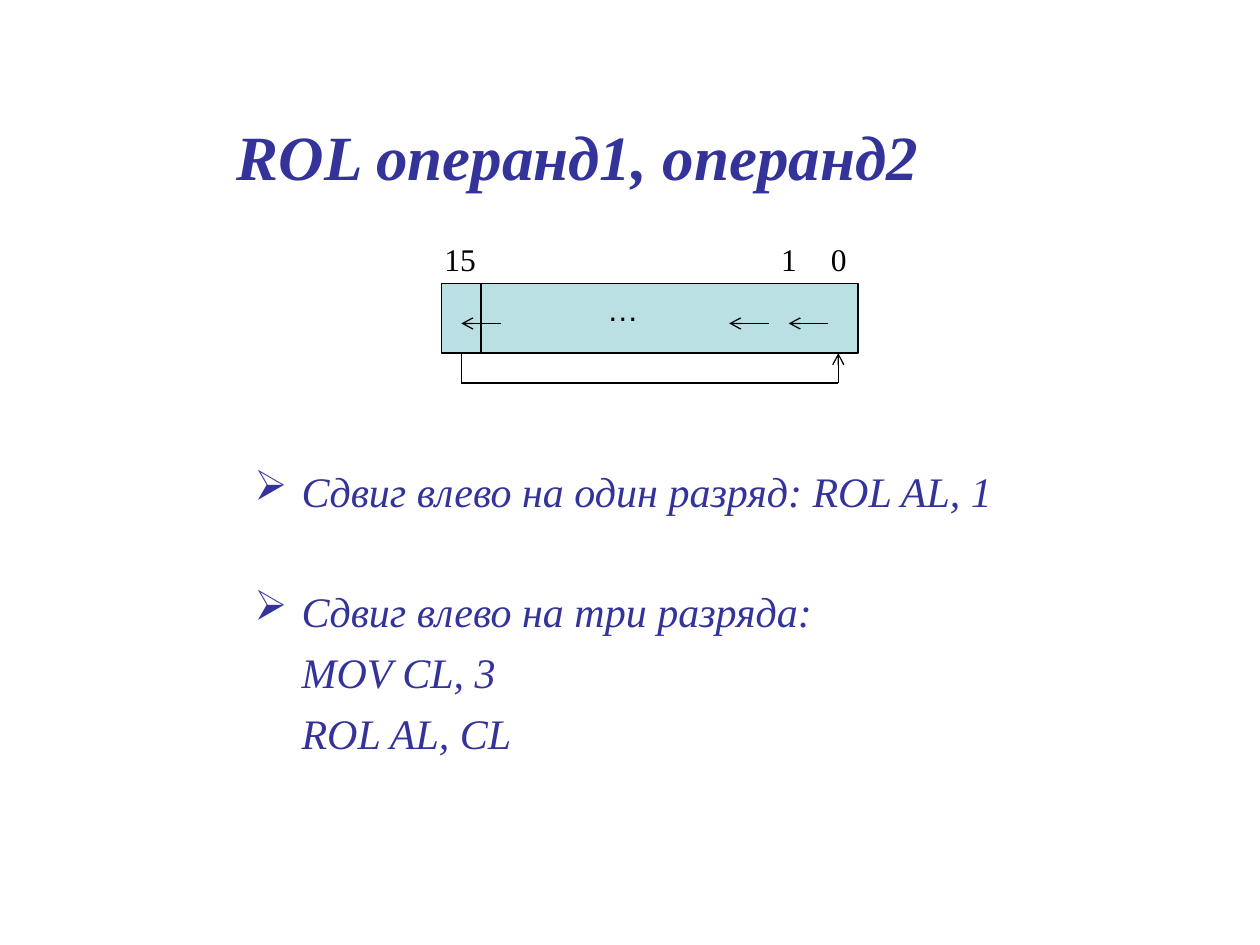
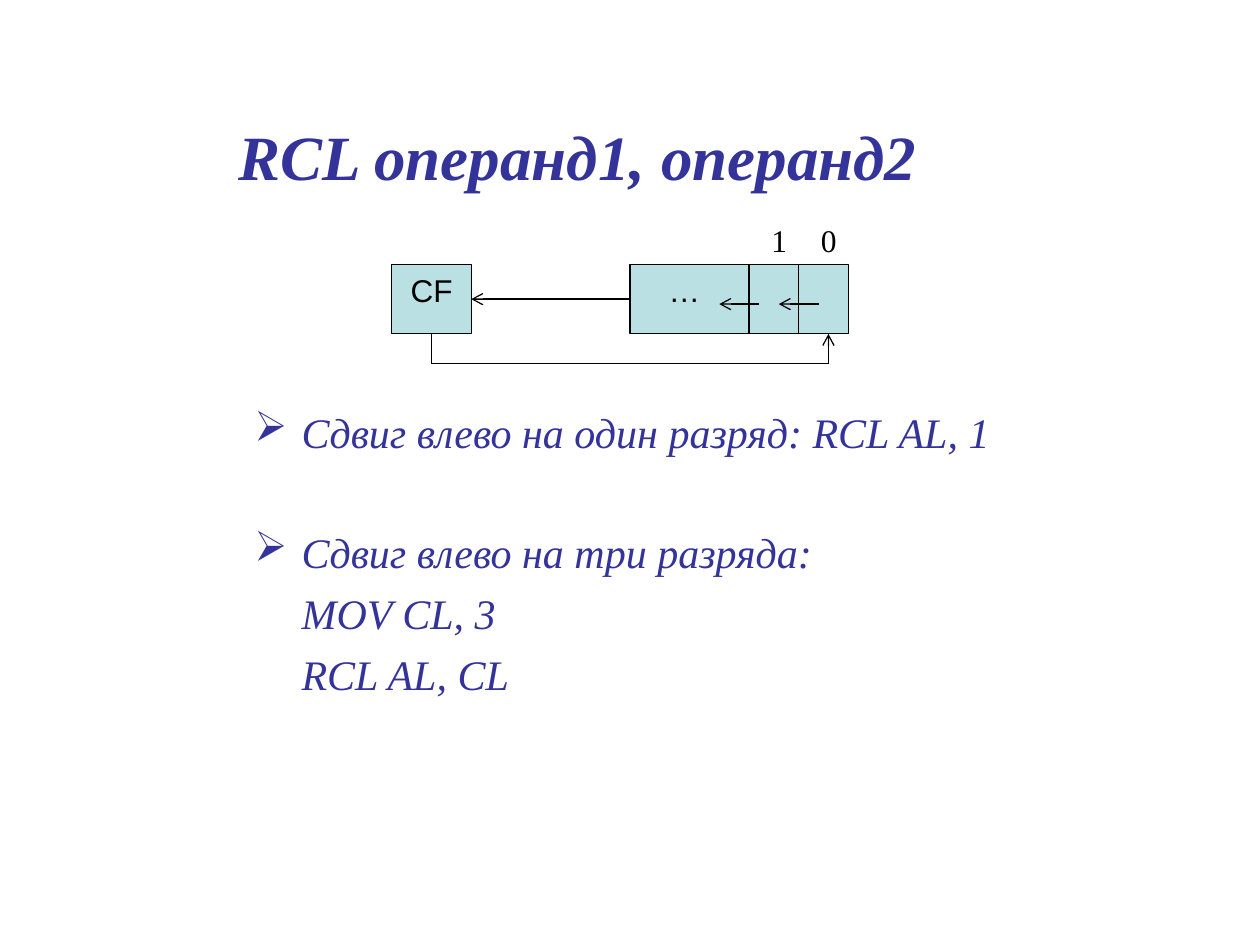
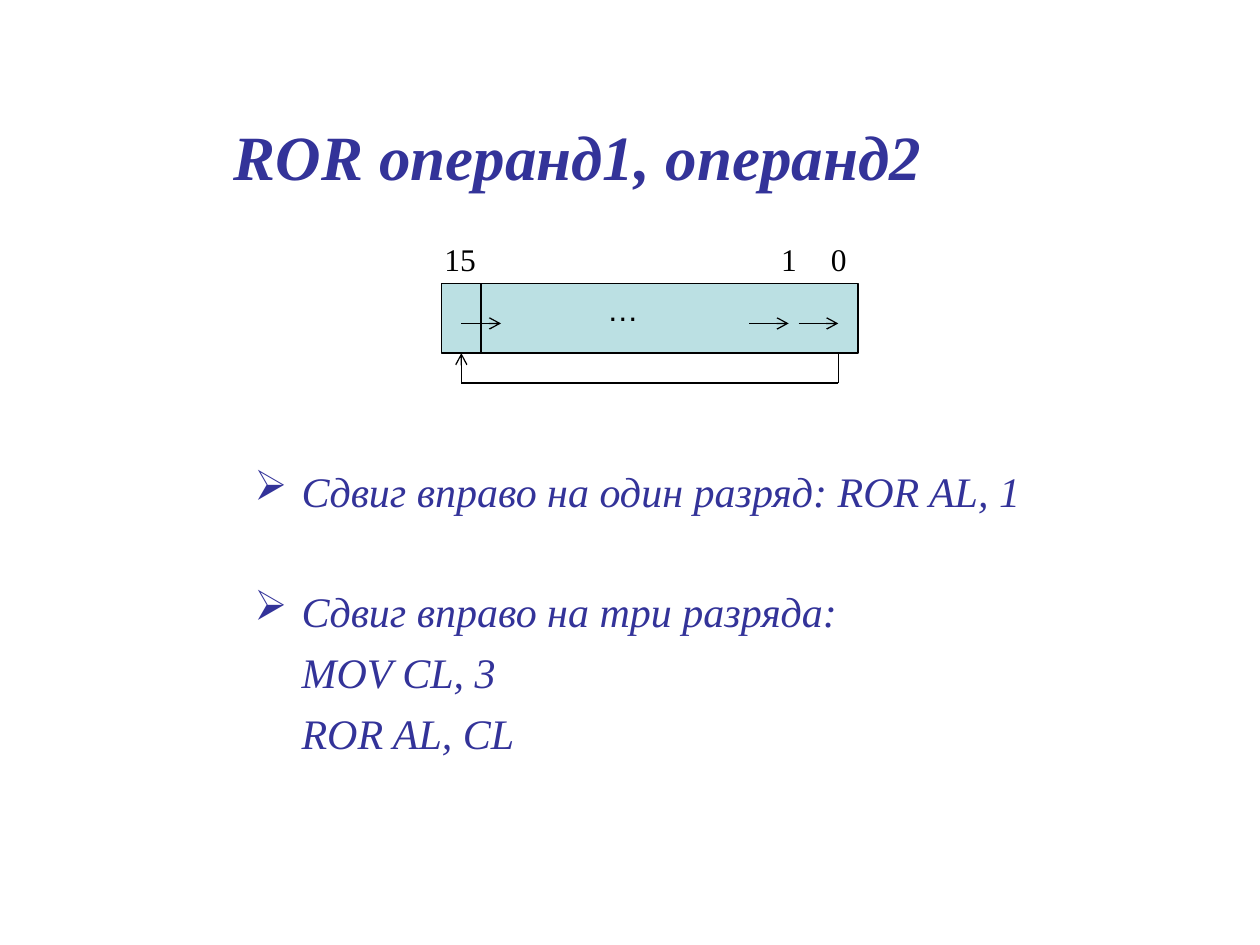
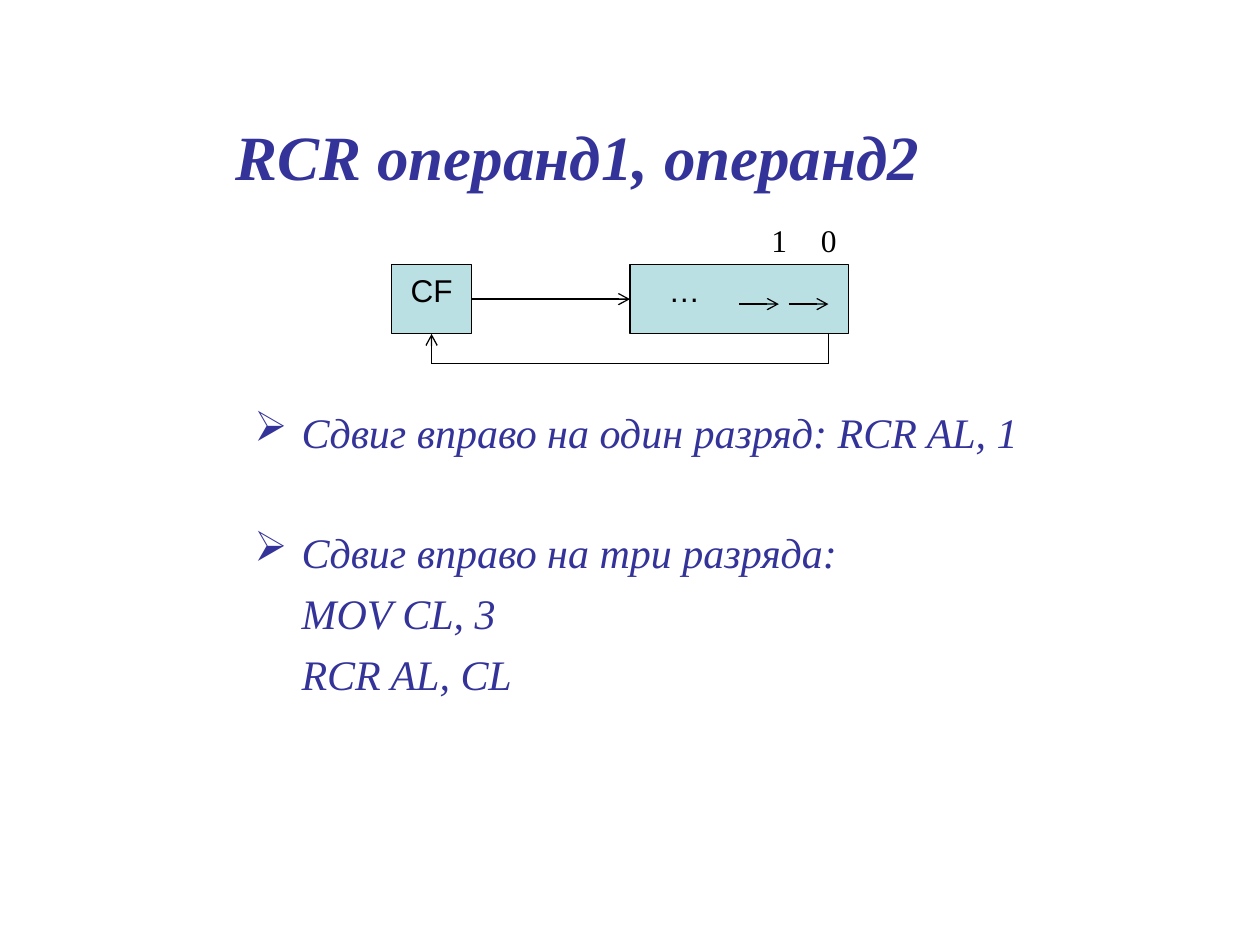
"""Build four slides about the rotate instructions ROL, RCL, ROR and RCR."""
import pptx
import pptx.dml.color
import pptx.enum.shapes
import pptx.enum.text
import pptx.oxml
import pptx.oxml.ns
import pptx.util
from lxml import etree

Cm = pptx.util.Cm
Pt = pptx.util.Pt
ALIGN = pptx.enum.text.PP_ALIGN
ANCHOR = pptx.enum.text.MSO_ANCHOR

COLORS = {"heading": "333399", "cell": "BBE0E3", "ink": "000000"}
FONTS = {
    "title": {"name": "Times New Roman", "size": Pt(36), "bold": True, "italic": True},
    "body": {"name": "Times New Roman", "size": Pt(24), "italic": True},
    "label": {"name": "Times New Roman", "size": Pt(18)},
    "cell": {"name": "Arial", "size": Pt(18)},
}
FONT_COLORS = {"title": "heading", "body": "heading", "label": "ink", "cell": "ink"}

SLIDES = [
    {"command": "ROL", "side": "влево", "left": True, "carry": False},
    {"command": "RCL", "side": "влево", "left": True, "carry": True, "dividers": True},
    {"command": "ROR", "side": "вправо", "left": False, "carry": False},
    {"command": "RCR", "side": "вправо", "left": False, "carry": True},
]
DIAGRAMS = {
    False: {"top": 5.72, "box": (8.9, 0.8, ""), "register": (9.7, 7.6),
            "dots_indent": 2.29, "text_inset": 4.94},
    True: {"top": 5.33, "box": (7.9, 1.6, "CF"), "register": (12.7, 4.4),
           "dots_indent": 0.53, "text_inset": 3.75},
}
TITLE_BOX = (2.97, 2.34, 17.35, 1.6)
BODY_BOX = (4.88, 4.45, 16.08, 12.57)
CELL_HEIGHT = 1.4
LOOP_DEPTH = 2
ARROW_DEPTH = 0.8
ARROW_LENGTH = 0.8
INDENT = 0.95


def apply(target, values):
    for name, value in values.items():
        setattr(target, name, value)


def color(name):
    return pptx.dml.color.RGBColor.from_string(COLORS[name])


def write(paragraph, text, style):
    run = paragraph.add_run()
    run.text = text
    apply(run.font, FONTS[style])
    run.font.color.rgb = color(FONT_COLORS[style])


def add_text(slide, box, text, style, frame_values, paragraph_values):
    frame = slide.shapes.add_textbox(*map(Cm, box)).text_frame
    apply(frame, frame_values)
    apply(frame.paragraphs[0], paragraph_values)
    write(frame.paragraphs[0], text, style)


def set_indent(paragraph, left, first=0.0, bullet=None):
    properties = paragraph._p.get_or_add_pPr()
    properties.set("marL", str(Cm(left)))
    properties.set("indent", str(Cm(first)))
    if bullet:
        etree.SubElement(properties, pptx.oxml.ns.qn("a:buChar")).set("char", bullet)


def add_body(slide, command, side, inset):
    lines = [
        (f"Сдвиг {side} на один разряд: {command} AL, 1", "➢", 0),
        (f"Сдвиг {side} на три разряда:", "➢", 39.8),
        ("MOV CL, 3", None, 6),
        (f"{command} AL, CL", None, 6),
    ]
    frame = slide.shapes.add_textbox(*map(Cm, BODY_BOX)).text_frame
    apply(frame, {"word_wrap": True, "margin_top": Cm(inset)})
    for index, (text, bullet, gap) in enumerate(lines):
        paragraph = frame.add_paragraph() if index else frame.paragraphs[0]
        paragraph.space_before = Pt(gap)
        set_indent(paragraph, INDENT, -INDENT if bullet else 0, bullet)
        write(paragraph, text, "body")


def add_cell(slide, left, top, width, text="", align=ALIGN.CENTER, indent=0):
    shape = slide.shapes.add_shape(
        pptx.enum.shapes.MSO_SHAPE.RECTANGLE, *map(Cm, (left, top, width, CELL_HEIGHT)))
    shape.shadow.inherit = False
    shape.fill.solid()
    shape.fill.fore_color.rgb = color("cell")
    shape.line.color.rgb = color("ink")
    shape.line.width = Pt(0.75)
    shape.text_frame.vertical_anchor = ANCHOR.TOP
    if text:
        paragraph = shape.text_frame.paragraphs[0]
        paragraph.alignment = align
        set_indent(paragraph, indent)
        write(paragraph, text, "cell")


def add_line(slide, start, end, arrow=False):
    connector = slide.shapes.add_connector(
        pptx.enum.shapes.MSO_CONNECTOR.STRAIGHT, *map(Cm, (*start, *end)))
    connector.line.color.rgb = color("ink")
    connector.line.width = Pt(0.75)
    if arrow:
        line = connector.line._get_or_add_ln()
        etree.SubElement(line, pptx.oxml.ns.qn("a:tailEnd")).set("type", "arrow")
    etree.SubElement(connector._element.spPr, pptx.oxml.ns.qn("a:effectLst"))


def add_arrow(slide, left_x, right_x, y, to_left):
    ends = [(left_x, y), (right_x, y)]
    add_line(slide, *(reversed(ends) if to_left else ends), arrow=True)


def add_diagram(slide, to_left, carry, dividers):
    diagram = DIAGRAMS[carry]
    top = diagram["top"]
    box_left, box_width, box_text = diagram["box"]
    register_left, register_width = diagram["register"]
    right = register_left + register_width
    bottom = top + CELL_HEIGHT

    add_cell(slide, box_left, top, box_width, box_text)
    add_cell(slide, register_left, top, register_width, "…", ALIGN.LEFT,
             diagram["dots_indent"])
    if dividers:
        for x in (right - 2, right - 1):
            add_line(slide, (x, top), (x, bottom))

    labels = [("1", right - 1.8, 0.84), ("0", right - 0.8, 0.84)]
    if not carry:
        labels.append(("15", box_left - 0.19, 1.14))
    for text, left, width in labels:
        add_text(slide, (left, top - 1, width, 1.02), text, "label",
                 {"word_wrap": False}, {})

    for offset in (2.6, 1.4) if to_left else (2.2, 1.2):
        start = right - offset
        add_arrow(slide, start, start + ARROW_LENGTH, top + ARROW_DEPTH, to_left)

    box_middle = box_left + box_width / 2
    if carry:
        add_arrow(slide, box_left + box_width, register_left, top + CELL_HEIGHT / 2, to_left)
    else:
        add_arrow(slide, box_middle, box_middle + ARROW_LENGTH, top + ARROW_DEPTH, to_left)

    source, target = box_middle, right - 0.4
    if not to_left:
        source, target = target, source
    loop_y = top + LOOP_DEPTH
    add_line(slide, (source, bottom), (source, loop_y))
    add_line(slide, (source, loop_y), (target, loop_y))
    add_line(slide, (target, loop_y), (target, bottom), arrow=True)


presentation = pptx.Presentation()
apply(presentation, {"slide_width": Cm(25.4), "slide_height": Cm(19.05)})
for content in SLIDES:
    slide = presentation.slides.add_slide(presentation.slide_layouts[6])
    add_text(slide, TITLE_BOX, f"{content['command']} операнд1, операнд2", "title",
             {"word_wrap": True, "vertical_anchor": ANCHOR.MIDDLE},
             {"alignment": ALIGN.CENTER})
    add_body(slide, content["command"], content["side"],
             DIAGRAMS[content["carry"]]["text_inset"])
    add_diagram(slide, content["left"], content["carry"], content.get("dividers", False))
presentation.save("out.pptx")
